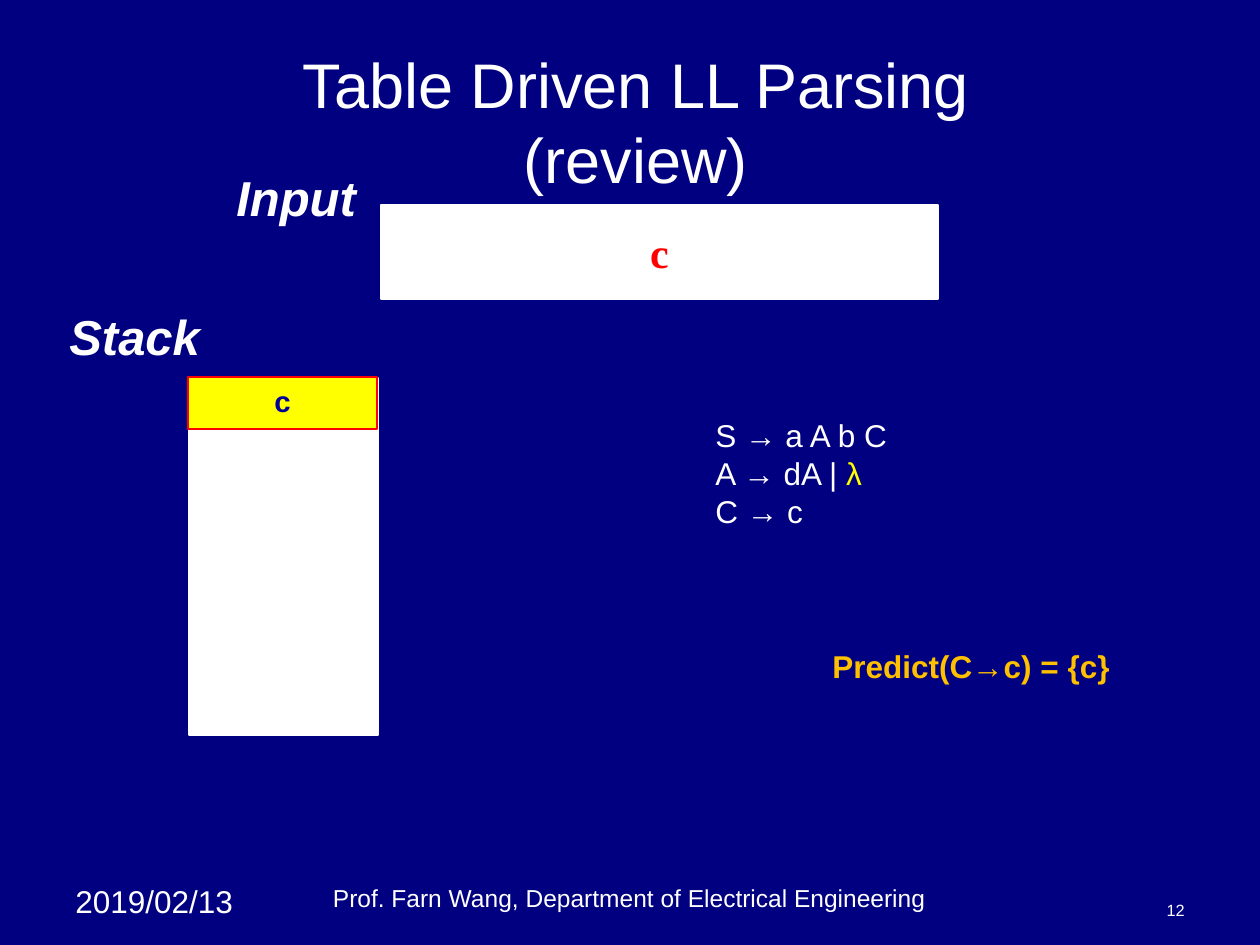
from pptx import Presentation
from pptx.dml.color import RGBColor
from pptx.enum.shapes import MSO_SHAPE
from pptx.enum.text import MSO_ANCHOR, PP_ALIGN
from pptx.util import Emu, Pt

PX = 914400 / 126
NAVY, WHITE, YELLOW, RED = "000080", "FFFFFF", "FFFF00", "FF0000"
LEFT, CENTER, RIGHT = PP_ALIGN.LEFT, PP_ALIGN.CENTER, PP_ALIGN.RIGHT
TOP, MIDDLE, BOTTOM = MSO_ANCHOR.TOP, MSO_ANCHOR.MIDDLE, MSO_ANCHOR.BOTTOM

# Paragraphs are lists of (text, colour) runs; "\n" is a line break.
GRAMMAR = [
    [("S → a A b C", WHITE)],
    [("A → dA | ", WHITE), ("λ", YELLOW)],
    [("C → c", WHITE)],
]
TITLE = [[("Table Driven LL Parsing", WHITE), ("\n", WHITE), ("(review)", WHITE)]]
HEADING = dict(size=28, bold=True, italic=True, wrap=False)

# (left, top, width, height) in px, paragraphs, text style
TEXTS = [
    ((63, 876, 199, 50), [[("2019/02/13", WHITE)]], dict(size=18)),
    ((288, 884, 683, 35),
     [[("Prof. Farn Wang, Department of Electrical Engineering", WHITE)]],
     dict(size=14, align=CENTER, anchor=BOTTOM)),
    ((74, 63, 1124, 116), TITLE, dict(size=36, align=CENTER, anchor=MIDDLE)),
    ((903, 892, 294, 34), [[("12", WHITE)]],
     dict(size=9.3, align=RIGHT, anchor=BOTTOM)),
    ((703, 410, 204, 126), GRAMMAR, dict(size=18, wrap=False)),
    ((820, 641, 312, 50), [[("Predict(C→c) = {c}", "FFC000")]],
     dict(size=18, bold=True, wrap=False)),
    ((57, 300, 165, 72), [[("Stack", WHITE)]], HEADING),
    ((224, 161, 155, 72), [[("Input", WHITE)]], HEADING),
]

# box, fill, line colour, line width, paragraphs, text style
CELLS = [
    ((189, 378, 189, 357), WHITE, WHITE, 1, [], {}),
    ((381, 205, 557, 94), WHITE, WHITE, 1, [[("c", RED)]],
     dict(size=24, font="Times New Roman", bold=True, align=CENTER,
          anchor=MIDDLE, wrap=False)),
    ((188, 377, 189, 52), YELLOW, RED, 0.75, [[("c", "000099")]],
     dict(size=16.8, bold=True, align=CENTER)),
]


def color(hex_code):
    return RGBColor.from_string(hex_code)


def emu(box):
    return [Emu(round(length * PX)) for length in box]


def write(frame, paragraphs, size, font="Arial", bold=False, italic=False,
          align=LEFT, anchor=TOP, wrap=True):
    frame.word_wrap = wrap
    frame.vertical_anchor = anchor
    for index, runs in enumerate(paragraphs):
        paragraph = frame.add_paragraph() if index else frame.paragraphs[0]
        paragraph.alignment = align
        paragraph.font.size = Pt(size)
        for text, hex_code in runs:
            if text == "\n":
                paragraph.add_line_break()
                continue
            run = paragraph.add_run()
            run.text = text
            run.font.name = font
            run.font.size = Pt(size)
            run.font.bold = bold
            run.font.italic = italic
            run.font.color.rgb = color(hex_code)


def add_cell(slide, box, fill, line, width, paragraphs, style):
    cell = slide.shapes.add_shape(MSO_SHAPE.RECTANGLE, *emu(box))
    cell.shadow.inherit = False
    cell.fill.solid()
    cell.fill.fore_color.rgb = color(fill)
    cell.line.color.rgb = color(line)
    cell.line.width = Pt(width)
    if paragraphs:
        write(cell.text_frame, paragraphs, **style)


def main():
    deck = Presentation()
    deck.slide_width, deck.slide_height = emu((1260, 945))
    slide = deck.slides.add_slide(deck.slide_layouts[6])
    slide.background.fill.solid()
    slide.background.fill.fore_color.rgb = color(NAVY)
    for cell in CELLS:
        add_cell(slide, *cell)
    for box, paragraphs, style in TEXTS:
        write(slide.shapes.add_textbox(*emu(box)).text_frame, paragraphs, **style)
    deck.save("out.pptx")


if __name__ == "__main__":
    main()
